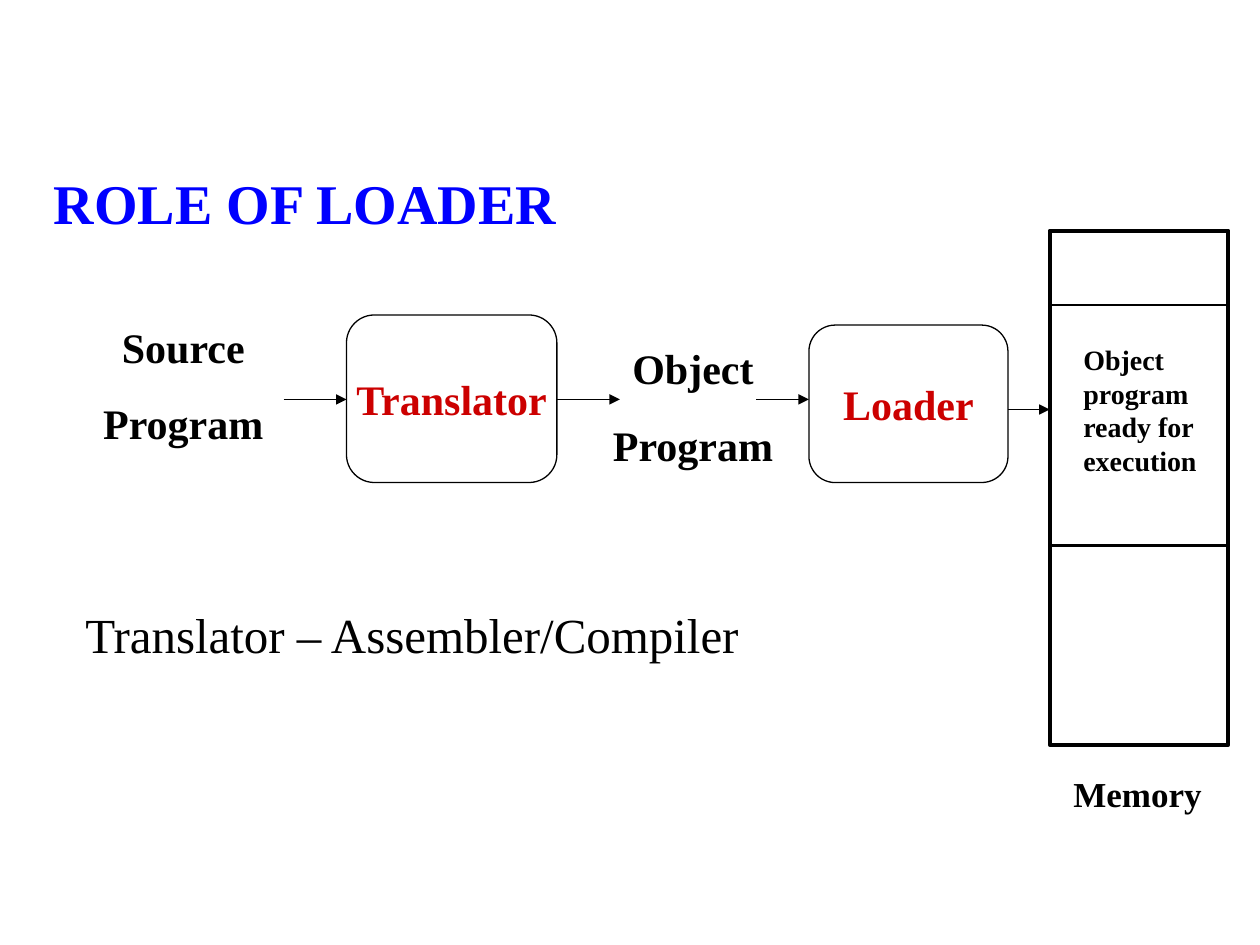
from lxml import etree
from pptx import Presentation
from pptx.dml.color import RGBColor
from pptx.enum import shapes, text
from pptx.oxml.ns import qn
from pptx.util import Inches, Pt

BLACK = RGBColor(0x00, 0x00, 0x00)
BLUE = RGBColor(0x00, 0x00, 0xFF)
RED = RGBColor(0xCC, 0x00, 0x00)
FONT = "Times New Roman"


def write_text(frame, content, size=24, color=BLACK, bold=True,
               align=text.PP_ALIGN.LEFT, anchor=text.MSO_ANCHOR.TOP,
               wrap=True, gap=0):
    frame.word_wrap = wrap
    frame.vertical_anchor = anchor
    for index, line in enumerate(content.split("\n")):
        para = frame.add_paragraph() if index else frame.paragraphs[0]
        para.alignment = align
        para.space_before = Pt(gap if index else 0)
        span = para.add_run()
        span.text = line
        span.font.name = FONT
        span.font.size = Pt(size)
        span.font.bold = bold
        span.font.color.rgb = color


def add_label(page, content, left, top, width, height, **style):
    box = page.shapes.add_textbox(
        Inches(left), Inches(top), Inches(width), Inches(height))
    write_text(box.text_frame, content, **style)


def add_outline(page, kind, left, top, width, height, weight):
    shape = page.shapes.add_shape(
        kind, Inches(left), Inches(top), Inches(width), Inches(height))
    shape.shadow.inherit = False
    shape.fill.background()
    shape.line.color.rgb = BLACK
    shape.line.width = Pt(weight)
    return shape


def add_process(page, content, left, top, width, height):
    shape = add_outline(page, shapes.MSO_SHAPE.FLOWCHART_ALTERNATE_PROCESS,
                        left, top, width, height, 0.75)
    write_text(shape.text_frame, content, color=RED, wrap=False,
               align=text.PP_ALIGN.CENTER, anchor=text.MSO_ANCHOR.MIDDLE)


def add_line(page, start, end, y, weight=0.75, arrow=False):
    line = page.shapes.add_connector(
        shapes.MSO_CONNECTOR.STRAIGHT,
        Inches(start), Inches(y), Inches(end), Inches(y))
    line.line.color.rgb = BLACK
    line.line.width = Pt(weight)
    if arrow:
        outline = line.line._get_or_add_ln()
        etree.SubElement(outline, qn("a:tailEnd"), type="triangle")
    etree.SubElement(line._element.spPr, qn("a:effectLst"))


def add_memory(page):
    left, width = 8.33, 1.42
    add_outline(page, shapes.MSO_SHAPE.RECTANGLE, left, 1.83, width, 4.08, 2.25)
    for y in (2.42, 4.33):
        add_line(page, left, left + width, y, weight=1.5)
    add_label(page, "Object program ready for execution",
              8.5, 2.67, 1.25, 1.17, size=16)
    add_label(page, "Memory", 8.42, 6.08, 1.33, 0.44, size=20)


def main():
    deck = Presentation()
    deck.slide_width, deck.slide_height = Inches(10), Inches(7.5)
    page = deck.slides.add_slide(deck.slide_layouts[6])

    add_label(page, "ROLE OF LOADER", 0.33, 1.17, 4.33, 0.75,
              size=32, color=BLUE, anchor=text.MSO_ANCHOR.BOTTOM)
    for content, left, top, width in (("Source\nProgram", 0.58, 2.5, 1.75),
                                      ("Object\nProgram", 4.75, 2.67, 1.5)):
        add_label(page, content, left, top, width, 1.11,
                  align=text.PP_ALIGN.CENTER, gap=15)
    add_process(page, "Translator", 2.75, 2.5, 1.67, 1.33)
    add_process(page, "Loader", 6.42, 2.58, 1.58, 1.25)
    add_memory(page)
    for start, end, y in ((2.25, 2.75, 3.17), (4.42, 4.92, 3.17),
                          (6, 6.42, 3.17), (8, 8.33, 3.25)):
        add_line(page, start, end, y, arrow=True)
    add_label(page, "Translator – Assembler/Compiler",
              0.58, 4.75, 6.25, 0.57, size=28, bold=False)

    deck.save("out.pptx")


if __name__ == "__main__":
    main()
